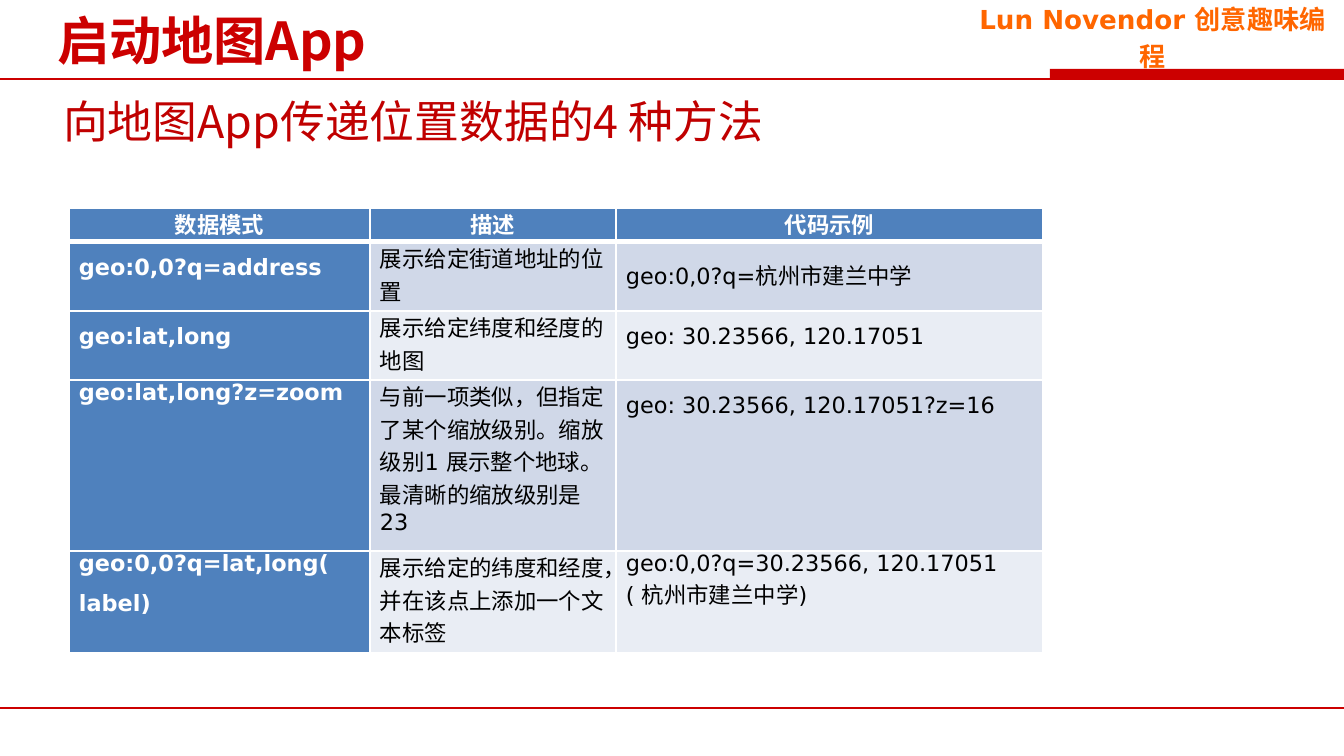
from dataclasses import dataclass

from lxml import etree
from pptx import Presentation
from pptx.dml.color import RGBColor
from pptx.enum.shapes import MSO_CONNECTOR, MSO_SHAPE
from pptx.enum.text import MSO_ANCHOR, MSO_AUTO_SIZE, PP_ALIGN
from pptx.oxml.ns import qn
from pptx.util import Emu, Pt

STRAIGHT = MSO_CONNECTOR.STRAIGHT
RECTANGLE = MSO_SHAPE.RECTANGLE
TOP, MIDDLE = MSO_ANCHOR.TOP, MSO_ANCHOR.MIDDLE
LEFT, CENTER = PP_ALIGN.LEFT, PP_ALIGN.CENTER
NO_AUTOFIT = MSO_AUTO_SIZE.NONE

RED = RGBColor(0xCC, 0x00, 0x00)
DARK_RED = RGBColor(0xC0, 0x00, 0x00)
ORANGE = RGBColor(0xFF, 0x66, 0x00)
WHITE = RGBColor(0xFF, 0xFF, 0xFF)
BLACK = RGBColor(0x00, 0x00, 0x00)
BLUE = RGBColor(0x4F, 0x81, 0xBD)
BANDS = RGBColor(0xD0, 0xD8, 0xE8), RGBColor(0xE9, 0xED, 0xF4)

SANS, CJK = "DejaVu Sans", "Noto Sans CJK SC"
PAGE_WIDTH, PAGE_HEIGHT = 1344, 756
INSET_X, INSET_Y = 13, 7
CELL_INSET = 10


def px(length: int) -> Emu:
    return Emu(round(length * 914400 / 134.4))


@dataclass
class Box:
    left: int
    top: int
    width: int
    height: int

    def emu(self) -> tuple:
        return px(self.left), px(self.top), px(self.width), px(self.height)


@dataclass
class Style:
    font: str
    size: int
    color: RGBColor
    bold: bool = False
    align: PP_ALIGN = LEFT


@dataclass
class Cell:
    text: str
    last_spacing: float = 1.0


def format_text(frame, style: Style) -> None:
    for para in frame.paragraphs:
        para.alignment = style.align
        for span in para.runs:
            font = span.font
            font.name, font.size, font.bold = style.font, Pt(style.size), style.bold
            font.color.rgb = style.color
            east_asian = etree.SubElement(span._r.get_or_add_rPr(), qn("a:ea"))
            east_asian.set("typeface", CJK)


def fill_text(shape, box: Box, text: str, style: Style, anchor: MSO_ANCHOR) -> None:
    shape.left, shape.top, shape.width, shape.height = box.emu()
    frame = shape.text_frame
    frame.text = text
    frame.word_wrap = True
    frame.auto_size = NO_AUTOFIT
    frame.vertical_anchor = anchor
    frame.margin_left = frame.margin_right = px(INSET_X)
    frame.margin_top = frame.margin_bottom = px(INSET_Y)
    format_text(frame, style)


def draw_rule(page, y: int) -> None:
    rule = page.shapes.add_connector(STRAIGHT, 0, px(y), px(PAGE_WIDTH), px(y))
    rule.line.color.rgb = RED
    rule.line.width = Pt(0.75)
    etree.SubElement(rule._element.spPr, qn("a:effectLst"))


def underline_cell(cell, points: int) -> None:
    border = etree.Element(qn("a:lnB"), w=str(Pt(points)))
    fill = etree.SubElement(border, qn("a:solidFill"))
    etree.SubElement(fill, qn("a:srgbClr"), val=str(WHITE))
    cell._tc.get_or_add_tcPr().insert(0, border)


def draw_table(page, left: int, top: int, widths: list[int], heights: list[int],
               rows: list[list[Cell]]) -> None:
    box = Box(left, top, sum(widths), sum(heights))
    table = page.shapes.add_table(len(rows), len(widths), *box.emu()).table
    table.first_col = True
    for column, width in zip(table.columns, widths):
        column.width = px(width)
    for r, (row, height) in enumerate(zip(rows, heights)):
        table.rows[r].height = px(height)
        for c, content in enumerate(row):
            heading = r == 0 or c == 0
            cell = table.cell(r, c)
            cell.margin_left = cell.margin_right = px(CELL_INSET)
            cell.margin_top = cell.margin_bottom = 0
            cell.fill.solid()
            cell.fill.fore_color.rgb = BLUE if heading else BANDS[(r - 1) % 2]
            if r == 0:
                underline_cell(cell, 3)
            cell.text_frame.text = content.text
            format_text(cell.text_frame, Style(SANS, 12, WHITE if heading else BLACK,
                                               heading, CENTER if r == 0 else LEFT))
            cell.text_frame.paragraphs[-1].line_spacing = content.last_spacing


ROWS = [
    [Cell("数据模式"), Cell("描述"), Cell("代码示例")],
    [Cell("geo:0,0?q=address", 1.5), Cell("展示给定街道地址的位置"),
     Cell("geo:0,0?q=杭州市建兰中学", 1.5)],
    [Cell("geo:lat,long", 1.5), Cell("展示给定纬度和经度的地图"),
     Cell("geo: 30.23566, 120.17051", 1.5)],
    [Cell("geo:lat,long?z=zoom"),
     Cell("与前一项类似，但指定了某个缩放级别。缩放级别1 展示整个地球。最清晰的缩放级别是23"),
     Cell("geo: 30.23566, 120.17051?z=16", 1.5)],
    [Cell("geo:0,0?q=lat,long(\nlabel)", 1.5),
     Cell("展示给定的纬度和经度，并在该点上添加一个文本标签"),
     Cell("geo:0,0?q=30.23566, 120.17051 ( 杭州市建兰中学)")],
]


def main() -> None:
    deck = Presentation()
    deck.slide_width, deck.slide_height = px(PAGE_WIDTH), px(PAGE_HEIGHT)
    page = deck.slides.add_slide(deck.slide_layouts[1])

    # Header and footer rules with the accent bar
    draw_rule(page, 79)
    bar = page.shapes.add_shape(RECTANGLE, *Box(1050, 69, 294, 10).emu())
    bar.shadow.inherit = False
    bar.fill.solid()
    bar.fill.fore_color.rgb = RED
    bar.line.fill.background()
    draw_rule(page, 708)

    # Course name
    course_box = Box(957, 9, 391, 51)
    course = page.shapes.add_textbox(*course_box.emu())
    fill_text(course, course_box, "Lun Novendor 创意趣味编程",
              Style(SANS, 14, ORANGE, True, CENTER), MIDDLE)
    course.text_frame.paragraphs[0].line_spacing = 1.2

    # Title and subtitle
    fill_text(page.shapes.title, Box(44, 7, 1210, 65), "启动地图App",
              Style(CJK, 28, RED, True), MIDDLE)
    subtitle = page.placeholders[1]
    fill_text(subtitle, Box(50, 85, 751, 123), "向地图App传递位置数据的4 种方法",
              Style(CJK, 24, DARK_RED), TOP)
    para = subtitle.text_frame.paragraphs[0]
    para.line_spacing = Pt(29.5)
    para.space_before = Pt(0)
    properties = para._p.get_or_add_pPr()
    properties.set("marL", "0")
    properties.set("indent", "0")
    etree.SubElement(properties, qn("a:buNone"))

    # Ways of passing a location
    draw_table(page, 69, 208, [301, 246, 427], [34, 69, 69, 171, 102], ROWS)

    deck.save("out.pptx")


if __name__ == "__main__":
    main()
